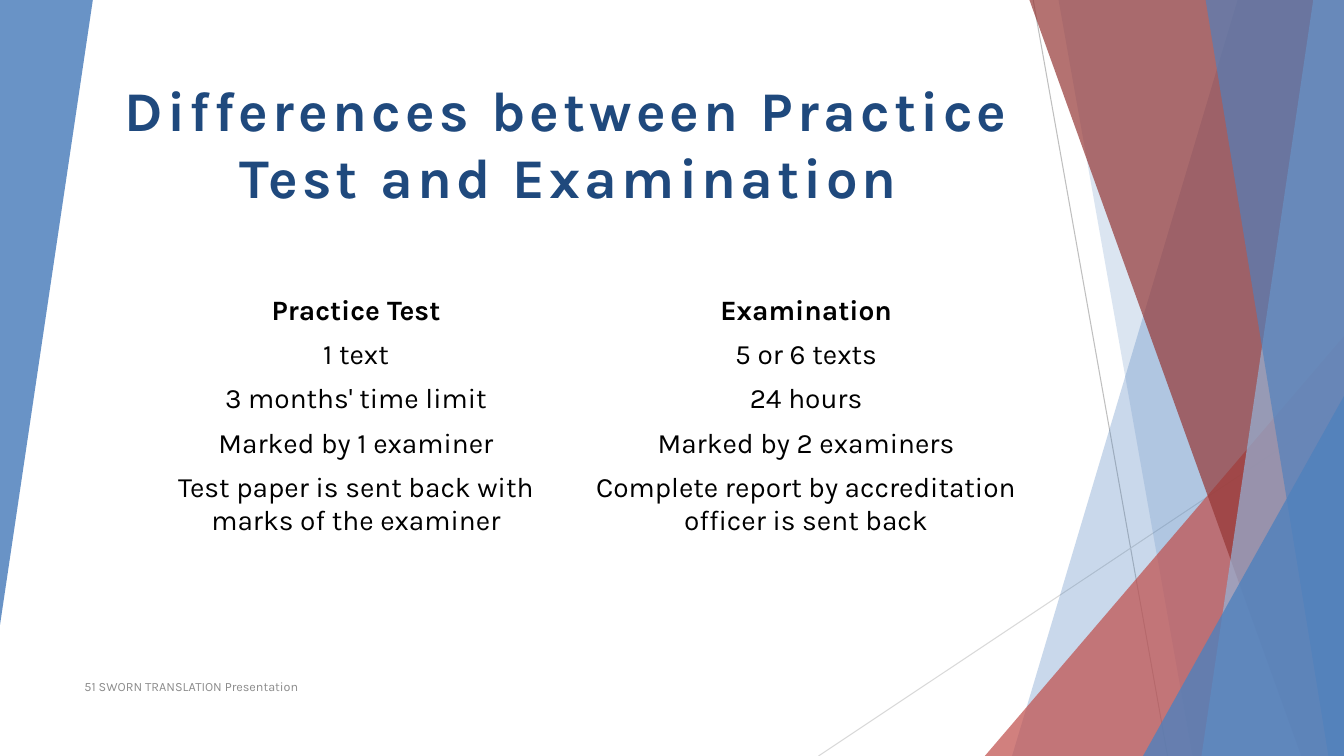
from lxml import etree
from pptx import Presentation
from pptx.dml.color import RGBColor
from pptx.enum.shapes import MSO_CONNECTOR, MSO_SHAPE
from pptx.enum.text import MSO_ANCHOR, PP_ALIGN
from pptx.oxml.ns import qn
from pptx.util import Pt

LINE = MSO_CONNECTOR.STRAIGHT
TRIANGLE = MSO_SHAPE.ISOSCELES_TRIANGLE
LEFT, CENTER = PP_ALIGN.LEFT, PP_ALIGN.CENTER
TOP, MIDDLE = MSO_ANCHOR.TOP, MSO_ANCHOR.MIDDLE

BLACK = RGBColor(0x00, 0x00, 0x00)
NAVY = RGBColor(0x1F, 0x49, 0x7D)
BLUE = RGBColor(0x4F, 0x81, 0xBD)
PALE = RGBColor(0x95, 0xB3, 0xD7)
RED = RGBColor(0xC0, 0x50, 0x4D)
DARK = RGBColor(0x95, 0x37, 0x35)
GRAY = RGBColor(0x8C, 0x8C, 0x8C)
SILVER = RGBColor(0xBF, 0xBF, 0xBF)
MIST = RGBColor(0xD9, 0xD9, 0xD9)

FONT = "Karla"
WIDE, HIGH = 960, 540
EDGE = -0.6  # top of the bands, just above the slide

# Left corner at the top, left corner at the bottom, colour, opacity
BANDS = [
    (884.16, 722.88, BLUE, 30),
    (756, 851.76, BLUE, 20),
    (735.12, 929.52, DARK, 70),
    (938.16, 858.24, PALE, 70),
    (861.12, 948.96, BLUE, 65),
]

ROWS = [
    ("Practice Test", "Examination"),
    ("1 text", "5 or 6 texts"),
    ("3 months' time limit", "24 hours"),
    ("Marked by 1 examiner", "Marked by 2 examiners"),
    ("Test paper is sent back with marks of the examiner",
     "Complete report by accreditation officer is sent back"),
]


def tint(shape, color, alpha):
    """Fill a shape with a see-through colour and no outline."""
    shape.shadow.inherit = False
    shape.line.fill.background()
    shape.fill.solid()
    shape.fill.fore_color.rgb = color
    tone = shape._element.spPr.find(qn("a:solidFill")).find(qn("a:srgbClr"))
    etree.SubElement(tone, qn("a:alpha")).set("val", str(alpha * 1000))


def add_band(slide, top, foot, color, alpha):
    pen = slide.shapes.build_freeform(Pt(top), Pt(EDGE), scale=1.0)
    pen.add_line_segments([(Pt(WIDE), Pt(EDGE)), (Pt(WIDE), Pt(HIGH)),
                           (Pt(foot), Pt(HIGH))], close=True)
    tint(pen.convert_to_shape(), color, alpha)


def add_wedge(slide, x, y, w, h, color, alpha, turn=0):
    wedge = slide.shapes.add_shape(TRIANGLE, Pt(x), Pt(y), Pt(w), Pt(h))
    wedge.adjustments[0] = 1
    wedge.rotation = turn
    tint(wedge, color, alpha)


def add_line(slide, x1, y1, x2, y2, color):
    line = slide.shapes.add_connector(LINE, Pt(x1), Pt(y1), Pt(x2), Pt(y2))
    line.line.color.rgb = color
    line.line.width = Pt(0.75)
    etree.SubElement(line._element.spPr, qn("a:effectLst"))


def write(frame, text, size=20, color=BLACK, bold=False, align=CENTER,
          space=0):
    """Put one formatted paragraph in a text frame."""
    frame.word_wrap = True
    para = frame.paragraphs[0]
    para.alignment = align
    run = para.add_run()
    run.text = text
    run.font.name = FONT
    run.font.size = Pt(size)
    run.font.bold = bold
    run.font.color.rgb = color
    if space:
        run.font._element.set("spc", str(space * 100))


def add_text(slide, x, y, w, h, text, anchor=TOP, **style):
    box = slide.shapes.add_textbox(Pt(x), Pt(y), Pt(w), Pt(h))
    box.text_frame.vertical_anchor = anchor
    write(box.text_frame, text, **style)


def add_grid(slide, x, y, w, rows, step, last):
    """Add a plain table whose last row holds two lines."""
    high = step * (len(rows) - 1) + last
    grid = slide.shapes.add_table(len(rows), len(rows[0]), Pt(x), Pt(y),
                                  Pt(w), Pt(high)).table
    grid.first_row = grid.horz_banding = False
    for i, texts in enumerate(rows):
        grid.rows[i].height = Pt(last if i == len(rows) - 1 else step)
        for j, text in enumerate(texts):
            cell = grid.cell(i, j)
            cell.fill.background()
            cell.margin_top = cell.margin_bottom = Pt(3.8)
            write(cell.text_frame, text, bold=i == 0)


def main():
    deck = Presentation()
    deck.slide_width, deck.slide_height = Pt(WIDE), Pt(HIGH)
    slide = deck.slides.add_slide(deck.slide_layouts[6])

    # Crossed lines and bands on the right
    add_line(slide, 738, 0, 834, HIGH, SILVER)
    add_line(slide, WIDE, 290, 584.64, HIGH, MIST)
    for band in BANDS[:2]:
        add_band(slide, *band)
    add_wedge(slide, 703.44, 240, 256.56, 300, RED, 72)
    for band in BANDS[2:]:
        add_band(slide, *band)
    add_wedge(slide, 816.5, 283, 143.5, 257, BLUE, 80)

    # Wedge on the left
    add_wedge(slide, 0, 0, 66.3, 446.4, BLUE, 85, turn=180)

    # Footer and title
    add_text(slide, 53.3, 476, 496, 28.8, "51 SWORN TRANSLATION Presentation",
             anchor=MIDDLE, size=9, color=GRAY, align=LEFT)
    add_text(slide, 60.5, 50.4, 691.2, 104.4,
             "Differences between Practice Test and Examination",
             size=40, color=NAVY, bold=True, space=3)

    # Comparison
    add_grid(slide, 93.6, 206.6, 643, ROWS, step=31.2, last=55.2)

    deck.save("out.pptx")


if __name__ == "__main__":
    main()
